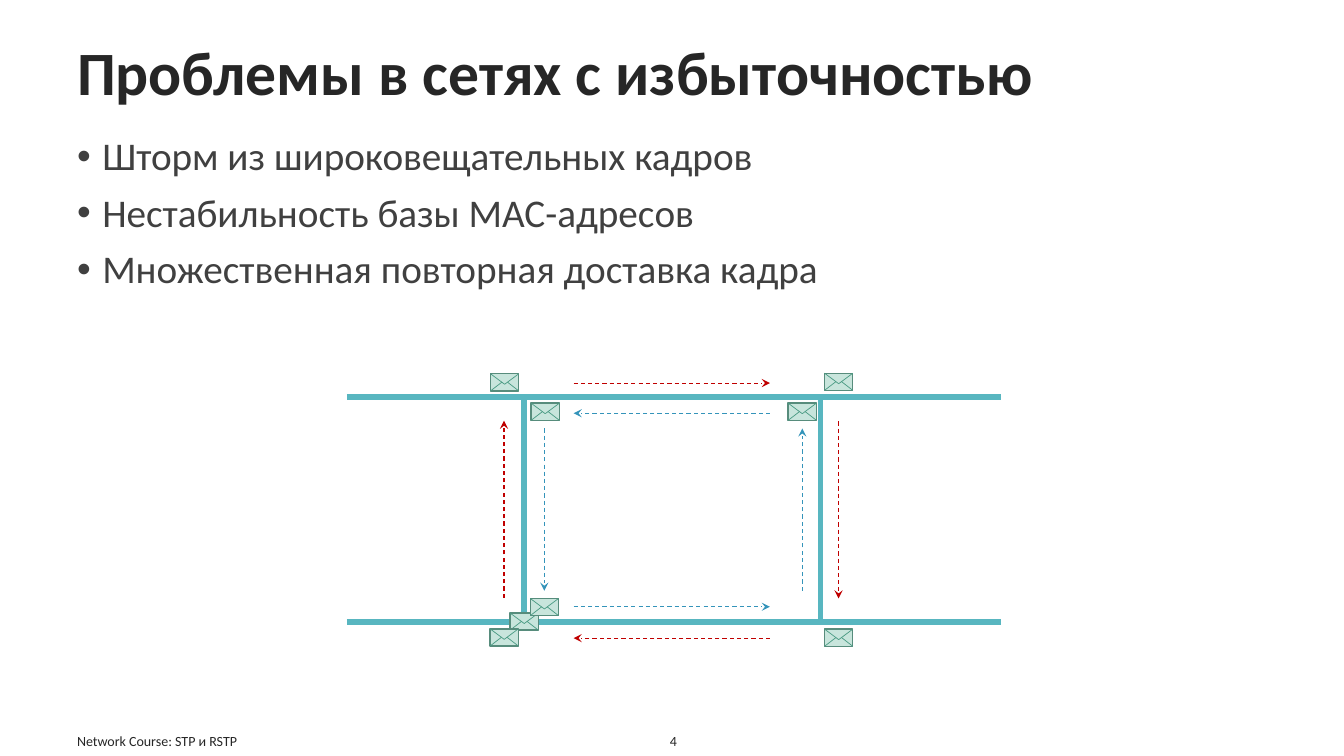
"""Build the slide about problems in redundant networks."""
from typing import NamedTuple

from pptx import Presentation
from pptx.dml.color import RGBColor
from pptx.enum.dml import MSO_LINE
from pptx.enum.shapes import MSO_CONNECTOR, MSO_SHAPE
from pptx.enum.text import MSO_ANCHOR, PP_ALIGN
from pptx.oxml.ns import qn
from pptx.oxml.xmlchemy import OxmlElement
from pptx.shapes.connector import Connector
from pptx.shapes.shapetree import GroupShapes, SlideShapes
from pptx.util import Pt

STRAIGHT = MSO_CONNECTOR.STRAIGHT
RECTANGLE = MSO_SHAPE.RECTANGLE
DASH = MSO_LINE.DASH
TOP, MIDDLE = MSO_ANCHOR.TOP, MSO_ANCHOR.MIDDLE
LEFT, CENTER = PP_ALIGN.LEFT, PP_ALIGN.CENTER

FONT = "Calibri"
DARK = RGBColor(0x26, 0x26, 0x26)
GREY = RGBColor(0x40, 0x40, 0x40)
BLUE = RGBColor(0x34, 0x94, 0xBA)
RED = RGBColor(0xC0, 0x00, 0x00)
TEAL = RGBColor(0x58, 0xB6, 0xC0)
MINT = RGBColor(0xC8, 0xE5, 0xDC)
GREEN = RGBColor(0x57, 0x8C, 0x7C)
FOLD_GREEN = RGBColor(0x4A, 0x9B, 0x83)

BULLET_INDENT = 18
ENVELOPE_WIDTH, ENVELOPE_HEIGHT = 20.16, 12.24


class Frame(NamedTuple):
    left: float
    top: float
    width: float
    height: float


class Segment(NamedTuple):
    start_x: float
    start_y: float
    end_x: float
    end_y: float


class Flow(NamedTuple):
    segment: Segment
    color: RGBColor


class Corner(NamedTuple):
    left: float
    top: float


LINKS = (
    Segment(247.7, 444.2, 715, 444.2),
    Segment(374.4, 444.2, 374.4, 283.7),
    Segment(586.1, 444.2, 586.1, 283.7),
    Segment(247.7, 283.7, 715, 283.7),
)
FLOWS = (
    Flow(Segment(409.7, 433.4, 550, 433.4), BLUE),
    Flow(Segment(550, 455.8, 409.7, 455.8), RED),
    Flow(Segment(409.7, 273.6, 550, 273.6), RED),
    Flow(Segment(550, 295.2, 409.7, 295.2), BLUE),
    Flow(Segment(388.8, 306, 388.8, 422), BLUE),
    Flow(Segment(360, 427, 360, 300.5), RED),
    Flow(Segment(573.1, 422, 573.1, 306), BLUE),
    Flow(Segment(599, 301, 599, 427.5), RED),
)
ENVELOPES = (
    Corner(350.4, 267),
    Corner(589, 266.6),
    Corner(589, 449.4),
    Corner(563, 288),
    Corner(364.4, 437.9),
    Corner(379.4, 288),
    Corner(378.8, 427.5),
    Corner(350.1, 449.2),
)
FOLDS = (
    Segment(ENVELOPE_WIDTH, 0, ENVELOPE_WIDTH / 2, 7.5),
    Segment(0, 0, ENVELOPE_WIDTH / 2, 7.5),
    Segment(8.1, 6, 0, ENVELOPE_HEIGHT),
    Segment(12.1, 6, ENVELOPE_WIDTH, ENVELOPE_HEIGHT),
)


def add_text(shapes: SlideShapes, text: str, frame: Frame, *, size: float,
             color: RGBColor = DARK, bold: bool = False, align: PP_ALIGN = LEFT,
             anchor: MSO_ANCHOR = MIDDLE, line_spacing: float = 1,
             space_before: float = 0, bullet: bool = False) -> None:
    box = shapes.add_textbox(*map(Pt, frame))
    body = box.text_frame
    body.word_wrap = True
    body.vertical_anchor = anchor
    for index, words in enumerate(text.split("\n")):
        para = body.add_paragraph() if index else body.paragraphs[0]
        if bullet:
            properties = para._p.get_or_add_pPr()
            properties.set("marL", str(Pt(BULLET_INDENT)))
            properties.set("indent", str(-Pt(BULLET_INDENT)))
            for tag, key, value in (("a:buFont", "typeface", "Arial"),
                                    ("a:buChar", "char", "•")):
                mark = OxmlElement(tag)
                mark.set(key, value)
                properties.append(mark)
        para.alignment = align
        para.line_spacing = line_spacing
        para.space_before = Pt(space_before if index else 0)
        span = para.add_run()
        span.text = words
        span.font.name = FONT
        span.font.size = Pt(size)
        span.font.bold = bold
        span.font.color.rgb = color


def add_line(shapes: SlideShapes | GroupShapes, segment: Segment,
             color: RGBColor, width: float) -> Connector:
    connector = shapes.add_connector(STRAIGHT, *map(Pt, segment))
    connector.line.color.rgb = color
    connector.line.width = Pt(width)
    connector.element.spPr.append(OxmlElement("a:effectLst"))
    return connector


def add_flow(shapes: SlideShapes, flow: Flow) -> None:
    arrow = add_line(shapes, flow.segment, flow.color, 0.75)
    arrow.line.dash_style = DASH
    head = OxmlElement("a:tailEnd")
    head.set("type", "stealth")
    arrow.element.spPr.find(qn("a:ln")).append(head)


def add_envelope(shapes: SlideShapes, corner: Corner) -> None:
    parts = shapes.add_group_shape().shapes
    frame = Frame(*corner, ENVELOPE_WIDTH, ENVELOPE_HEIGHT)
    paper = parts.add_shape(RECTANGLE, *map(Pt, frame))
    paper.shadow.inherit = False
    paper.fill.solid()
    paper.fill.fore_color.rgb = MINT
    paper.line.color.rgb = GREEN
    paper.line.width = Pt(1)
    for fold in FOLDS:
        segment = Segment(corner.left + fold.start_x, corner.top + fold.start_y,
                          corner.left + fold.end_x, corner.top + fold.end_y)
        add_line(parts, segment, FOLD_GREEN, 0.5)


def main() -> None:
    deck = Presentation()
    deck.slide_width, deck.slide_height = Pt(960), Pt(540)
    page = deck.slides.add_slide(deck.slide_layouts[6])
    shapes = page.shapes
    add_text(shapes, "Проблемы в сетях с избыточностью", Frame(48, 28.8, 864, 51),
             size=44, bold=True, line_spacing=0.9)
    add_text(shapes, "Шторм из широковещательных кадров\n"
             "Нестабильность базы MAC-адресов\n"
             "Множественная повторная доставка кадра",
             Frame(48, 94.3, 864, 402.5), size=28, color=GREY, anchor=TOP,
             line_spacing=0.9, space_before=10, bullet=True)
    add_text(shapes, "Network Course: STP и RSTP", Frame(48, 519, 324, 21), size=10)
    add_text(shapes, "4", Frame(373.7, 519, 214.6, 21), size=10, align=CENTER)
    for flow in FLOWS:
        add_flow(shapes, flow)
    network = shapes.add_group_shape().shapes
    for link in LINKS:
        add_line(network, link, TEAL, 4)
    for corner in ENVELOPES:
        add_envelope(shapes, corner)
    deck.save("out.pptx")


if __name__ == "__main__":
    main()
